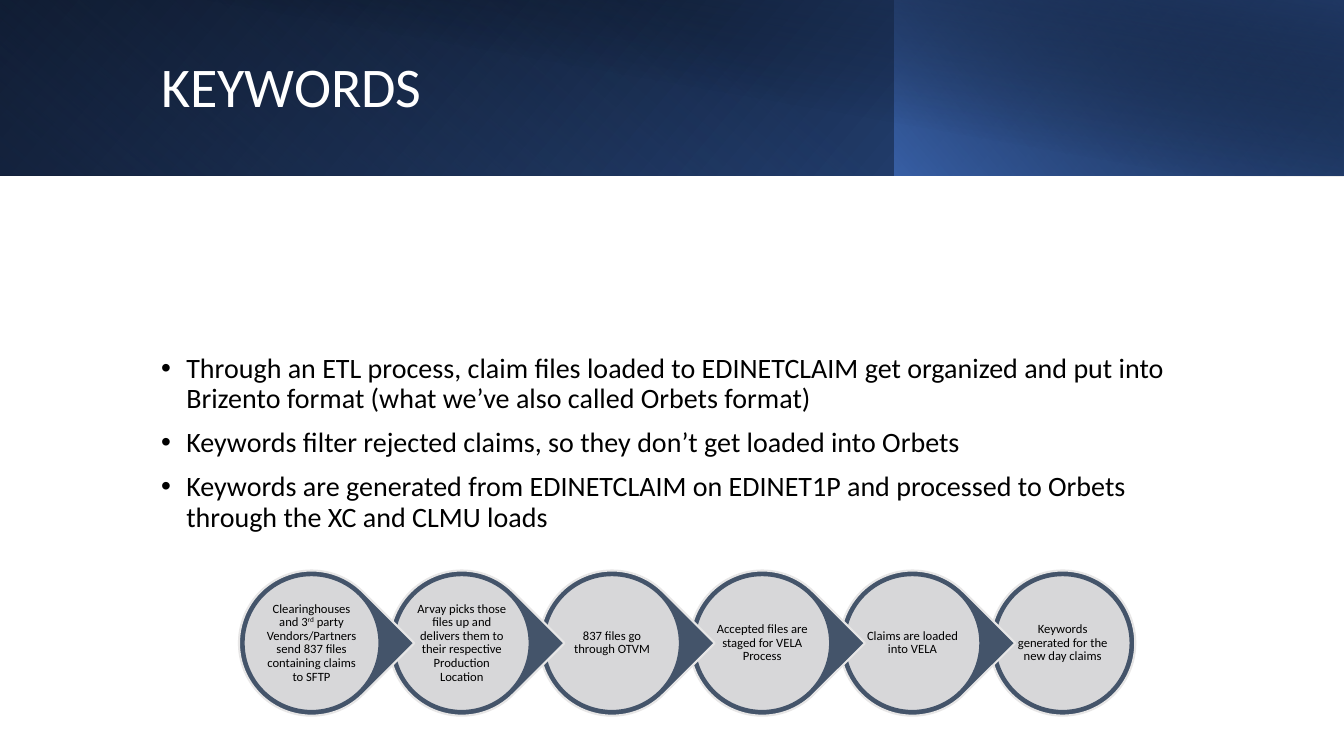
from pptx import Presentation
from pptx.dml.color import RGBColor
from pptx.enum.shapes import MSO_SHAPE as SHAPE
from pptx.enum.text import MSO_ANCHOR as ANCHOR, PP_ALIGN as ALIGN
from pptx.oxml import parse_xml
from pptx.oxml.ns import nsdecls, qn
from pptx.util import Inches, Pt

BLACK = RGBColor(0x00, 0x00, 0x00)
WHITE = RGBColor(0xFF, 0xFF, 0xFF)
BLUE = RGBColor(0x44, 0x72, 0xC4)
MID_BLUE = RGBColor(0x2F, 0x55, 0x97)
NAVY = RGBColor(0x20, 0x38, 0x64)
SLATE = RGBColor(0x44, 0x54, 0x6A)
PALE = RGBColor(0xE7, 0xE6, 0xE6)
FONT = "Calibri"

# left, width, height, angle, stops of (position %, colour, opacity %)
BANNER_LAYERS = [
    (0, 13.33, 1.74, 40, [(0, BLACK, 100), (100, MID_BLUE, 100)]),
    (0, 8.88, 1.74, 130, [(20, BLUE, 0), (100, NAVY, 55)]),
    (8.87, 4.46, 1.74, 320, [(0, BLUE, 66), (100, BLACK, 30)]),
    (0.5, 12.83, 1.75, 280, [(50, BLACK, 0), (99, NAVY, 52)]),
]
KEYWORD_POINTS = [
    "Through an ETL process, claim files loaded to EDINETCLAIM get organized "
    "and put into Brizento format (what we’ve also called Orbets format)",
    "Keywords filter rejected claims, so they don’t get loaded into Orbets",
    "Keywords are generated from EDINETCLAIM on EDINET1P and processed to "
    "Orbets through the XC and CLMU loads",
]
# each step is a list of (text, is superscript)
STEPS = [
    [("Clearinghouses and 3", False), ("rd", True),
     (" party Vendors/Partners send 837 files containing claims to SFTP", False)],
    [("Arvay picks those files up and delivers them to their respective "
      "Production Location", False)],
    [("837 files go through OTVM", False)],
    [("Accepted files are staged for VELA Process", False)],
    [("Claims are loaded into VELA", False)],
    [("Keywords generated for the new day claims", False)],
]


def add_plain_shape(slide, kind, left, top, width, height):
    shape = slide.shapes.add_shape(
        kind, Inches(left), Inches(top), Inches(width), Inches(height))
    shape.shadow.inherit = False
    return shape


def fill_gradient(shape, angle, stops):
    shape.fill.background()
    stop_xml = "".join(
        f'<a:gs pos="{position * 1000}"><a:srgbClr val="{color}">'
        f'<a:alpha val="{opacity * 1000}"/></a:srgbClr></a:gs>'
        for position, color, opacity in stops)
    gradient = parse_xml(
        f'<a:gradFill {nsdecls("a")} rotWithShape="1"><a:gsLst>{stop_xml}</a:gsLst>'
        f'<a:lin ang="{angle * 60000}" scaled="0"/></a:gradFill>')
    properties = shape.fill._xPr
    properties.replace(properties.find(qn("a:noFill")), gradient)


def add_text_frame(slide, left, top, width, height, inset=None):
    box = slide.shapes.add_textbox(
        Inches(left), Inches(top), Inches(width), Inches(height))
    frame = box.text_frame
    frame.word_wrap = True
    frame.vertical_anchor = ANCHOR.MIDDLE
    if inset is not None:
        frame.margin_left = frame.margin_right = Inches(inset)
        frame.margin_top = frame.margin_bottom = Inches(inset)
    return frame


def add_run(paragraph, text, size, color=BLACK):
    paragraph.line_spacing = 0.9
    run = paragraph.add_run()
    run.text = text
    run.font.name = FONT
    run.font.size = Pt(size)
    run.font.color.rgb = color
    return run


def add_banner(slide, left, top):
    for offset, width, height, angle, stops in BANNER_LAYERS:
        layer = add_plain_shape(
            slide, SHAPE.RECTANGLE, left + offset, top, width, height)
        layer.line.fill.background()
        fill_gradient(layer, angle, stops)
    title = add_text_frame(slide, left + 1.5, top + 0.32, 10.82, 1.13)
    add_run(title.paragraphs[0], "KEYWORDS", 40, WHITE)


def add_keyword_points(slide, left, top, width, height):
    frame = add_text_frame(slide, left, top, width, height)
    for index, point in enumerate(KEYWORD_POINTS):
        paragraph = frame.add_paragraph() if index else frame.paragraphs[0]
        properties = paragraph._p.get_or_add_pPr()
        properties.set("marL", str(Inches(0.25)))
        properties.set("indent", str(-Inches(0.25)))
        properties.append(parse_xml(f'<a:buFont {nsdecls("a")} typeface="Arial"/>'))
        properties.append(parse_xml(f'<a:buChar {nsdecls("a")} char="•"/>'))
        if index:
            paragraph.space_before = Pt(10)
        add_run(paragraph, point, 20)


def add_step(slide, left, top, size, words, is_last):
    marker = add_plain_shape(
        slide, SHAPE.OVAL if is_last else SHAPE.TEAR, left, top, size, size)
    if not is_last:
        marker.adjustments[0] = 1
        marker.rotation = 45
    marker.fill.solid()
    marker.fill.fore_color.rgb = SLATE
    marker.line.color.rgb = PALE
    marker.line.width = Pt(1.5)

    rim = 0.05
    disc = add_plain_shape(slide, SHAPE.OVAL, left + rim, top + rim,
                           size - 2 * rim, size - 2 * rim)
    fill_gradient(disc, 0, [(0, PALE, 90), (100, PALE, 90)])
    disc.line.color.rgb = SLATE
    disc.line.width = Pt(1)

    margin = 0.24
    label = add_text_frame(slide, left + margin, top + margin,
                           size - 2 * margin, size - 2 * margin, inset=0.01)
    paragraph = label.paragraphs[0]
    paragraph.alignment = ALIGN.CENTER
    for text, superscript in words:
        run = add_run(paragraph, text, 9)
        if superscript:
            run.font._element.set("baseline", "30000")


def add_claim_flow(slide, left, top, size, pitch):
    """Draw the steps from last to first, so each tip overlaps the next step."""
    last = len(STEPS) - 1
    for index in range(last, -1, -1):
        add_step(slide, left + index * pitch, top, size,
                 STEPS[index], index == last)


def main():
    deck = Presentation()
    deck.slide_width = Inches(13.33)
    deck.slide_height = Inches(7.5)
    slide = deck.slides.add_slide(deck.slide_layouts[6])
    add_banner(slide, 0, 0)
    add_keyword_points(slide, 1.5, 2.54, 10.63, 3.72)
    add_claim_flow(slide, 2.37, 5.66, 1.44, 1.49)
    deck.save("out.pptx")


if __name__ == "__main__":
    main()
